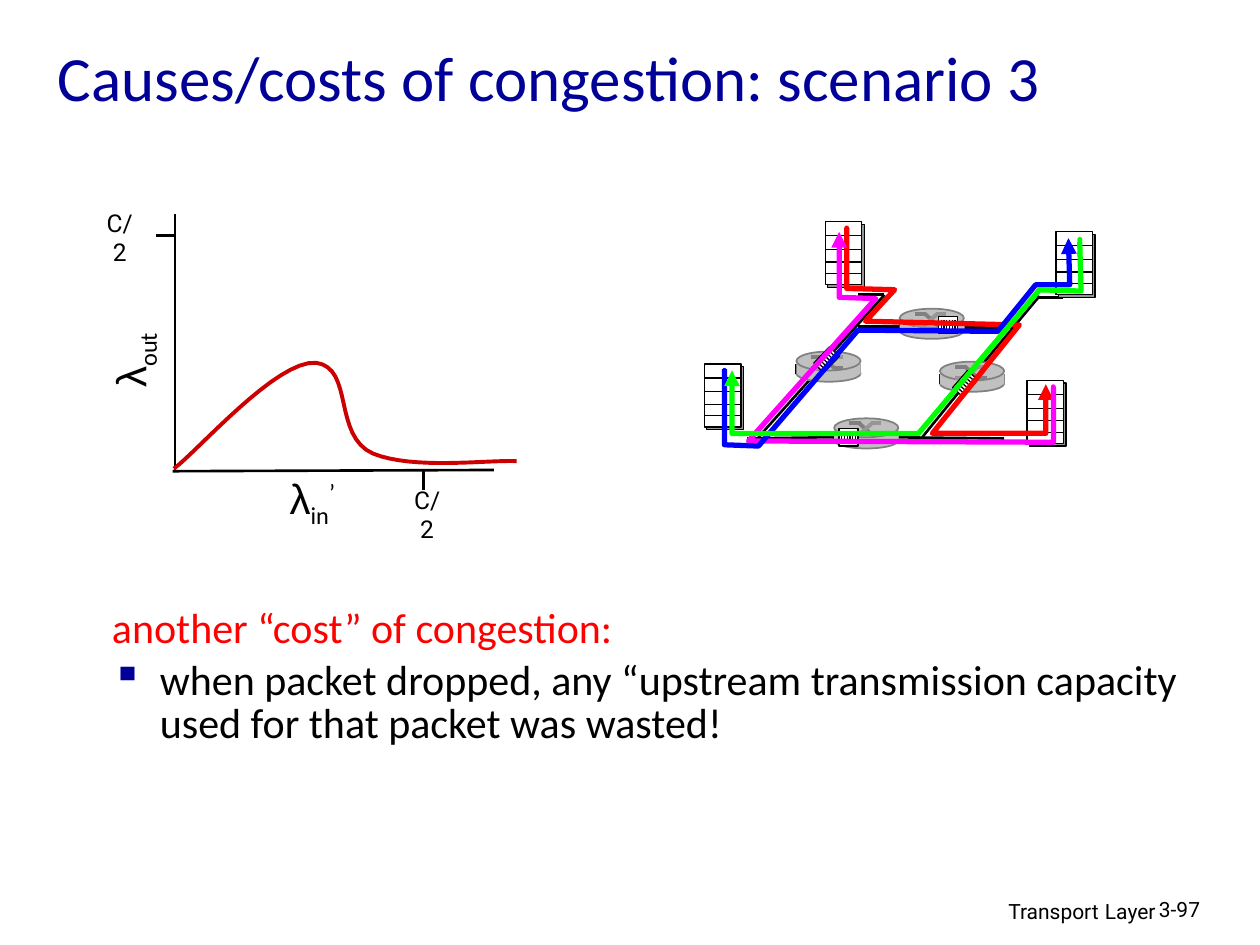
from math import cos, radians, sin
from lxml.etree import SubElement
from pptx import Presentation
from pptx.dml.color import RGBColor
from pptx.enum.shapes import MSO_CONNECTOR, MSO_SHAPE
from pptx.enum.text import MSO_ANCHOR, PP_ALIGN
from pptx.oxml.ns import qn
from pptx.util import Pt

EMU_PER_PX = 9144
BLACK, WHITE, NAVY, RED = "000000", "FFFFFF", "000099", "FF0000"
BLUE, MAGENTA, GREEN = "0000FF", "FF00FF", "00FF00"
SILVER, GRAY, STONE = "C0C0C0", "808080", "969696"


def px(value):
    return round(value * EMU_PER_PX)


def color(value):
    return RGBColor.from_string(value)


def set_line(item, stroke, weight):
    item.line.color.rgb = color(stroke)
    item.line.width = Pt(weight)


def add_line(page, x1, y1, x2, y2, stroke=BLACK, weight=1.5):
    line = page.shapes.add_connector(MSO_CONNECTOR.STRAIGHT, px(x1), px(y1), px(x2), px(y2))
    set_line(line, stroke, weight)
    SubElement(line._element.spPr, qn("a:effectLst"))


def add_block(page, kind, left, top, width, height, fill, stroke=None, weight=0.75):
    block = page.shapes.add_shape(kind, px(left), px(top), px(width), px(height))
    block.shadow.inherit = False
    block.fill.solid()
    block.fill.fore_color.rgb = color(fill)
    if stroke:
        set_line(block, stroke, weight)
    else:
        block.line.fill.background()
    return block


def add_path(page, left, top, points, stroke, weight):
    places = [(px(left + x), px(top + y)) for x, y in points]
    builder = page.shapes.build_freeform(*places[0], scale=1.0)
    builder.add_line_segments(places[1:], close=False)
    path = builder.convert_to_shape()
    path.shadow.inherit = False
    path.fill.background()
    set_line(path, stroke, weight)
    return path


def add_span(para, text, size, font, ink=BLACK, baseline=0):
    span = para.add_run()
    span.text = text
    span.font.size = Pt(size)
    span.font.name = font
    span.font.color.rgb = color(ink)
    if baseline:
        span._r.get_or_add_rPr().set("baseline", str(baseline * 1000))


def add_text(page, left, top, width, height, spans, align=PP_ALIGN.LEFT, wrap=True):
    box = page.shapes.add_textbox(px(left), px(top), px(width), px(height))
    box.text_frame.word_wrap = wrap
    para = box.text_frame.paragraphs[0]
    para.alignment = align
    for span in spans:
        add_span(para, *span)
    return box


def add_title(page, left, top, width, height):
    title = page.shapes.title
    title.left, title.top, title.width, title.height = map(px, (left, top, width, height))
    title.text_frame.vertical_anchor = MSO_ANCHOR.MIDDLE
    para = title.text_frame.paragraphs[0]
    para.alignment = PP_ALIGN.LEFT
    add_span(para, "Causes/costs of congestion: scenario 3", 36, "Calibri", NAVY)


def curve_points(start, segments, steps=16):
    points = [start]
    for second, third, end in segments:
        for step in range(1, steps + 1):
            t = step / steps
            weights = ((1 - t) ** 3, 3 * t * (1 - t) ** 2, 3 * t * t * (1 - t), t ** 3)
            controls = (start, second, third, end)
            points.append(tuple(sum(w * c[axis] for w, c in zip(weights, controls))
                                for axis in (0, 1)))
        start = end
    return points


def add_graph(page, left, top):
    axes_and_ticks = [(80, 10, 80, 214), (78, 214, 333, 213),
                      (65, 27, 79, 27), (277, 214, 277, 229)]
    for x1, y1, x2, y2 in axes_and_ticks:
        add_line(page, left + x1, top + y1, left + x2, top + y2)
    throughput = curve_points((79, 212), [
        ((98, 198), (161, 125), (192, 128)),
        ((222, 132), (205, 186), (237, 200)),
        ((269, 213), (327, 205), (351, 206)),
    ])
    add_path(page, left, top, throughput, "CC0000", 2.25)
    for x, y in [(11, 0), (255, 220)]:
        add_text(page, left + x, top + y, 50, 33, [("C/2", 14, "Roboto")], PP_ALIGN.CENTER)
    lambda_span = ("λ", 24, "Arial")
    output = add_text(page, left, top + 101, 88, 50,
                      [lambda_span, ("out", 24, "Calibri", BLACK, -25)], PP_ALIGN.CENTER)
    output.rotation = 270
    add_text(page, left + 156, top + 210, 66, 50,
             [lambda_span, ("in", 24, "Calibri", BLACK, -25), ("’", 24, "Calibri", BLACK, 30)],
             PP_ALIGN.CENTER, False)


def add_server(page, left, top):
    for offset, fill in [(2, STONE), (0, WHITE)]:
        add_block(page, MSO_SHAPE.RECTANGLE, left + offset, top + offset, 29, 50, fill, BLACK)
    for y in (11, 22, 32, 41):
        add_line(page, left, top + y, left + 29, top + y, BLACK, 0.75)


def add_buffer(page, left, top, width, height, angle):
    frame = add_block(page, MSO_SHAPE.RECTANGLE, left, top, width, height, WHITE, BLACK)
    frame.rotation = angle
    across, down = cos(radians(angle)), sin(radians(angle))
    half = height * 0.3
    for index in range(6):
        shift = (index - 2.5) * width / 7
        x = left + width / 2 + shift * across
        y = top + height / 2 + shift * down
        add_line(page, x + half * down, y - half * across,
                 x - half * down, y + half * across, BLACK, 0.75)


def add_router(page, left, top, buffer):
    add_block(page, MSO_SHAPE.OVAL, left, top + 11, 51, 13, SILVER, GRAY, 1)
    for x, stroke in [(0, BLACK), (51, GRAY)]:
        add_line(page, left + x, top + 10, left + x, top + 18, stroke, 1)
    for x, width in [(0, 12), (36, 15)]:
        add_block(page, MSO_SHAPE.RECTANGLE, left + x, top + 10, width, 8, SILVER)
    add_block(page, MSO_SHAPE.OVAL, left, top, 51, 15, SILVER, GRAY, 1)
    for start, end, stroke in [(4, 13, GRAY), (13, 4, STONE)]:
        for x1, y1, x2, y2 in [(12, start, 21, start), (29, end, 37, end), (20, start, 30, end)]:
            add_line(page, left + x1, top + y1, left + x2, top + y2, stroke, 2.25)
    x, y, width, height, angle = buffer
    add_buffer(page, left + x, top + y, width, height, angle)


def add_route(page, left, top, stroke, dot, points):
    route = add_path(page, left, top, points, stroke, 3)
    SubElement(route.line._get_or_add_ln(), qn("a:tailEnd"), type="triangle")
    for gap in (0, 11):
        add_block(page, MSO_SHAPE.OVAL, left + dot[0], top + dot[1] + gap, 4, 5, stroke)


def add_network(page, left, top):
    links = [(152, 64, 107, 114), (152, 64, 131, 64), (112, 177, 43, 178), (165, 89, 131, 89),
             (253, 90, 216, 90), (275, 65, 213, 139), (294, 66, 273, 66), (247, 178, 152, 177),
             (212, 140, 182, 177), (93, 131, 52, 177)]
    routers = [(164, 75, (31, 6, 15, 14, 0)), (196, 117, (11, 12, 18, 11, 131)),
               (112, 162, (4, 8, 15, 14, 0)), (82, 109, (15, 1, 18, 11, 134))]
    routes = [
        (RED, (120, 9), [(122, 11), (122, 59), (160, 60), (137, 85), (259, 88),
                         (190, 174), (280, 174), (280, 135)]),
        (MAGENTA, (284, 135), [(286, 138), (286, 181), (44, 180), (145, 67),
                               (116, 66), (116, 14)]),
        (BLUE, (23, 122), [(25, 123), (25, 183), (52, 184), (131, 92), (242, 93),
                           (272, 56), (299, 56), (298, 19)]),
        (GREEN, (305, 18), [(307, 22), (308, 61), (275, 60), (179, 174),
                            (31, 174), (31, 124)]),
    ]
    for x1, y1, x2, y2 in links:
        add_line(page, left + x1, top + y1, left + x2, top + y2)
    for x, y in [(105, 6), (9, 119), (288, 14), (265, 132)]:
        add_server(page, left + x, top + y)
    for x, y, buffer in routers:
        add_router(page, left + x, top + y, buffer)
    for stroke, dot, points in routes:
        add_route(page, left, top, stroke, dot, points)


def add_lesson(page, left, top, width, height):
    box = add_text(page, left, top, width, height,
                   [("another “cost” of congestion:", 24, "Calibri", RED)])
    bullet_para = box.text_frame.add_paragraph()
    for para in box.text_frame.paragraphs:
        properties = para._p.get_or_add_pPr()
        properties.set("marL", str(px(38)))
        properties.set("indent", str(px(-38)))
        para.line_spacing = 0.85
    bullet_para.space_before = Pt(5)
    properties = bullet_para._p.get_or_add_pPr()
    SubElement(SubElement(properties, qn("a:buClr")), qn("a:srgbClr"), val=NAVY)
    SubElement(properties, qn("a:buChar"), char="▪")
    add_span(bullet_para, "when packet dropped, any “upstream transmission capacity "
             "used for that packet was wasted!", 24, "Calibri")


def add_footer(page, left, top):
    add_text(page, left, top, 317, 31, [("Transport", 12, "Roboto"), (" ", 14, "Roboto"),
                                        ("Layer", 12, "Roboto")], PP_ALIGN.RIGHT)
    add_text(page, left + 300, top + 2, 74, 30, [("3-97", 12, "Roboto")])


def main():
    deck = Presentation()
    deck.slide_width, deck.slide_height = px(1000), px(750)
    page = deck.slides.add_slide(deck.slide_layouts[5])
    add_title(page, 36, 13, 916, 95)
    add_graph(page, 59, 160)
    add_network(page, 550, 170)
    add_lesson(page, 79, 479, 905, 144)
    add_footer(page, 610, 705)
    deck.save("out.pptx")


if __name__ == "__main__":
    main()
